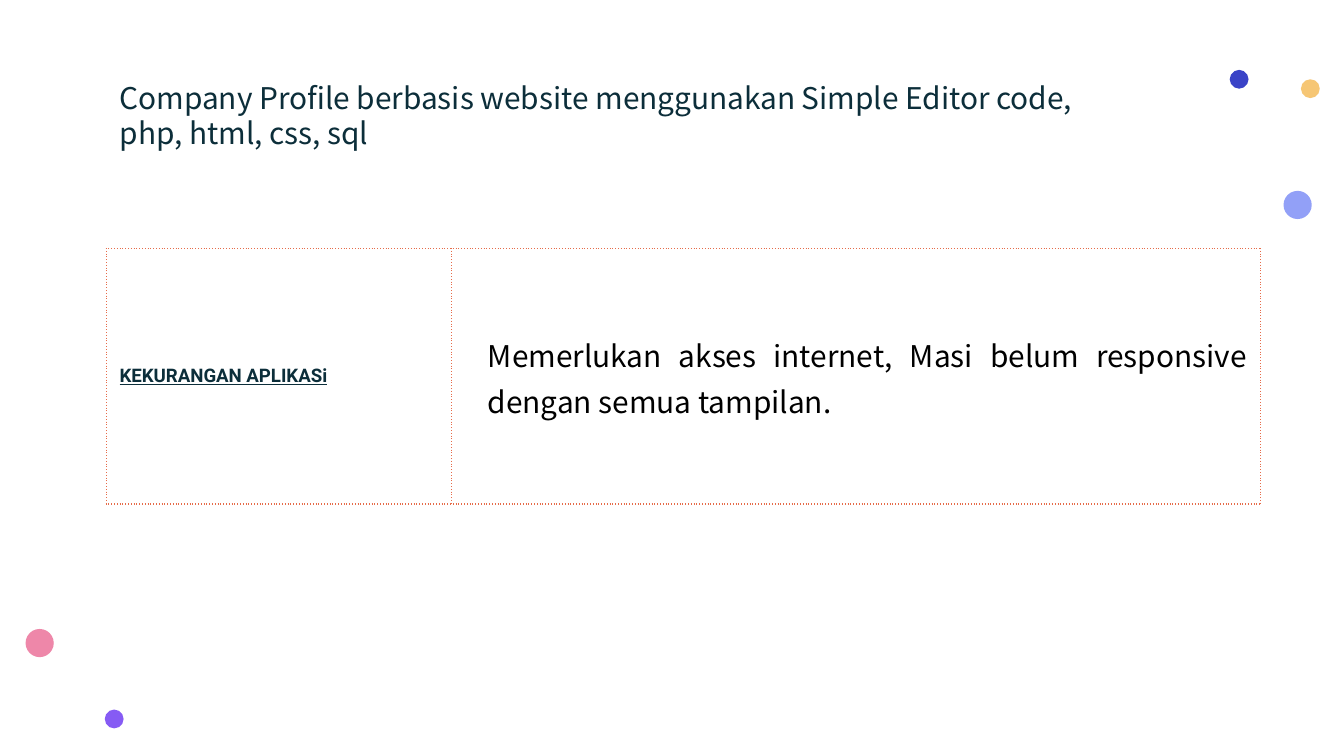
"""Build a slide that lists the shortcomings of a website application."""
from dataclasses import dataclass

from lxml import etree
from pptx import Presentation
from pptx.dml.color import RGBColor
from pptx.enum import shapes, text
from pptx.oxml.ns import qn
from pptx.util import Inches, Pt

NAVY = RGBColor(0x0C, 0x2E, 0x3A)
BLACK = RGBColor(0, 0, 0)
CORAL = RGBColor(0xE6, 0x6C, 0x4A)
SKY = RGBColor(0x92, 0xA0, 0xF7)
BLUE = RGBColor(0x3A, 0x43, 0xC7)
GOLD = RGBColor(0xF6, 0xC6, 0x74)
VIOLET = RGBColor(0x86, 0x5B, 0xF4)
PINK = RGBColor(0xEE, 0x87, 0xA9)
NOTO = "Noto Sans CJK SC"


@dataclass
class Dot:
    left: float
    top: float
    size: float
    color: RGBColor


DOTS = [
    Dot(9.55, 1.42, 0.21, SKY),
    Dot(9.15, 0.52, 0.14, BLUE),
    Dot(9.68, 0.59, 0.14, GOLD),
    Dot(0.78, 5.28, 0.14, VIOLET),
    Dot(0.19, 4.68, 0.21, PINK),
]


def style(par, font: str, size: int, color: RGBColor, bold: bool = False) -> None:
    par.font.name = font
    par.font.size = Pt(size)
    par.font.color.rgb = color
    par.font.bold = par.font.underline = bold
    face = etree.SubElement(par.font._element, qn("a:ea"))
    face.set("typeface", font)


def draw_dot(slide, dot: Dot) -> None:
    size = Inches(dot.size)
    oval = slide.shapes.add_shape(
        shapes.MSO_SHAPE.OVAL, Inches(dot.left), Inches(dot.top), size, size)
    oval.shadow.inherit = False
    oval.fill.solid()
    oval.fill.fore_color.rgb = dot.color
    oval.line.fill.background()


def frame(cell) -> None:
    props = cell._tc.get_or_add_tcPr()
    for side in ("a:lnL", "a:lnR", "a:lnT", "a:lnB"):
        line = etree.SubElement(props, qn(side), w=str(Pt(0.75)))
        fill = etree.SubElement(line, qn("a:solidFill"))
        etree.SubElement(fill, qn("a:srgbClr"), val=str(CORAL))
        etree.SubElement(line, qn("a:prstDash"), val="dot")
    cell.fill.background()


def fill_cell(cell, words: str):
    cell.text = words
    cell.vertical_anchor = text.MSO_ANCHOR.MIDDLE
    cell.margin_left = cell.margin_right = Inches(0.1)
    cell.margin_top = cell.margin_bottom = 0
    frame(cell)
    return cell.text_frame.paragraphs[0]


def draw_title(slide) -> None:
    title = slide.shapes.title
    title.left, title.top = Inches(0.79), Inches(0.49)
    title.width, title.height = Inches(8.43), Inches(0.63)
    box = title.text_frame
    box.word_wrap = True
    box.auto_size = text.MSO_AUTO_SIZE.NONE
    box.vertical_anchor = text.MSO_ANCHOR.TOP
    box.margin_left = box.margin_right = Inches(0.1)
    box.margin_top = box.margin_bottom = Inches(0.1)
    par = box.paragraphs[0]
    par.add_run().text = "Company Profile berbasis website menggunakan Simple Editor code,"
    par.add_line_break()
    par.add_run().text = "php, html, css, sql"
    par.alignment = text.PP_ALIGN.LEFT
    par.line_spacing = 1.0
    style(par, NOTO, 16, NAVY)


def draw_table(slide) -> None:
    table = slide.shapes.add_table(
        1, 2, Inches(0.79), Inches(1.85), Inches(8.59), Inches(1.9)).table
    table.first_row = table.horz_banding = False
    for col, width in zip(table.columns, (2.57, 6.02)):
        col.width = Inches(width)
    head = fill_cell(table.cell(0, 0), "KEKURANGAN APLIKASi")
    style(head, "Roboto", 10, NAVY, bold=True)
    body = fill_cell(
        table.cell(0, 1),
        "Memerlukan akses internet, Masi belum responsive dengan semua tampilan.")
    body.alignment = text.PP_ALIGN.JUSTIFY
    body.line_spacing = 1.07
    body.space_after = Pt(8)
    body._p.get_or_add_pPr().set("marL", str(Inches(0.17)))
    style(body, NOTO, 16, BLACK)


def main() -> None:
    deck = Presentation()
    deck.slide_width = Inches(10)
    deck.slide_height = deck.slide_width * 9 // 16
    slide = deck.slides.add_slide(deck.slide_layouts[5])
    draw_title(slide)
    draw_table(slide)
    for dot in DOTS:
        draw_dot(slide, dot)
    deck.save("out.pptx")


if __name__ == "__main__":
    main()
